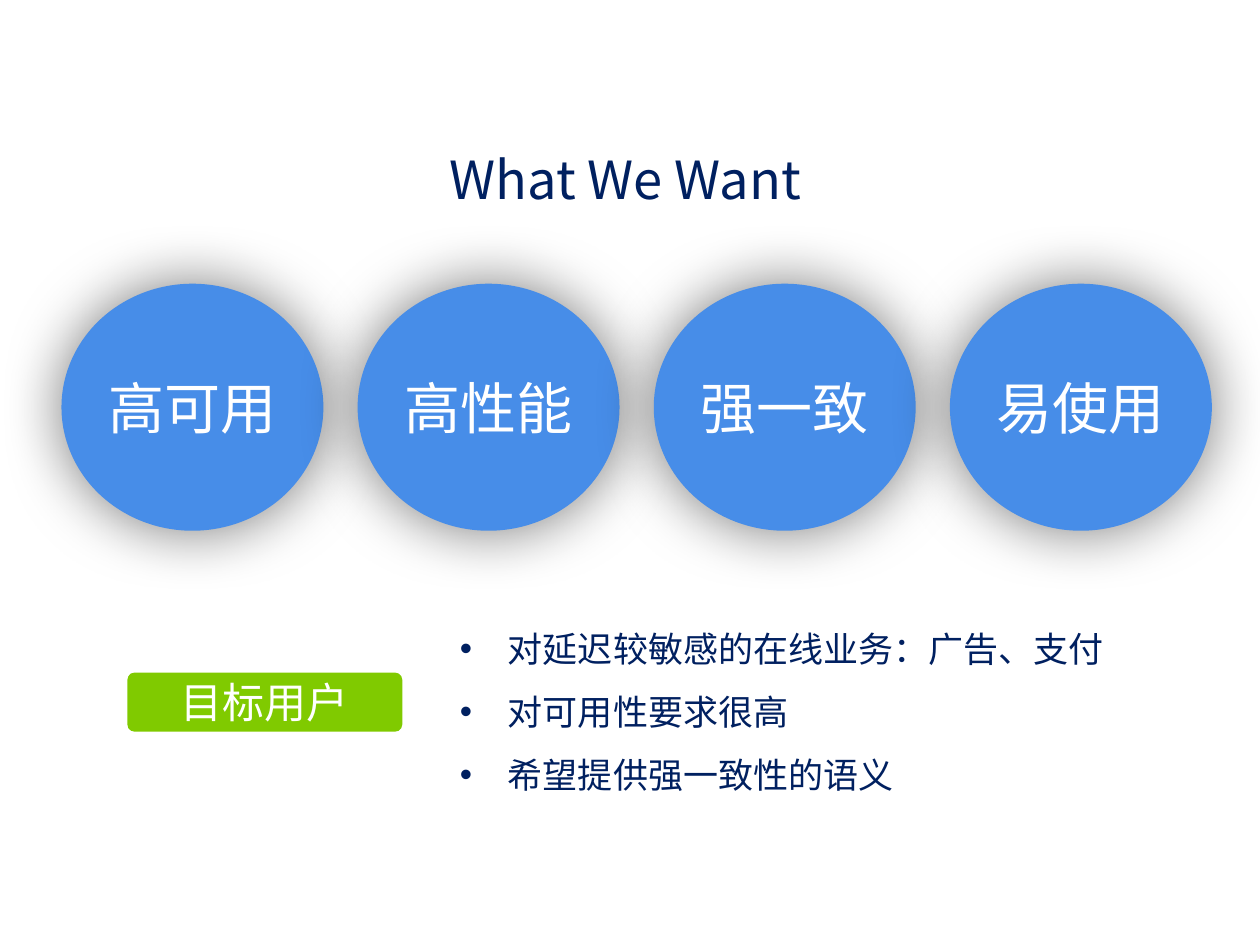
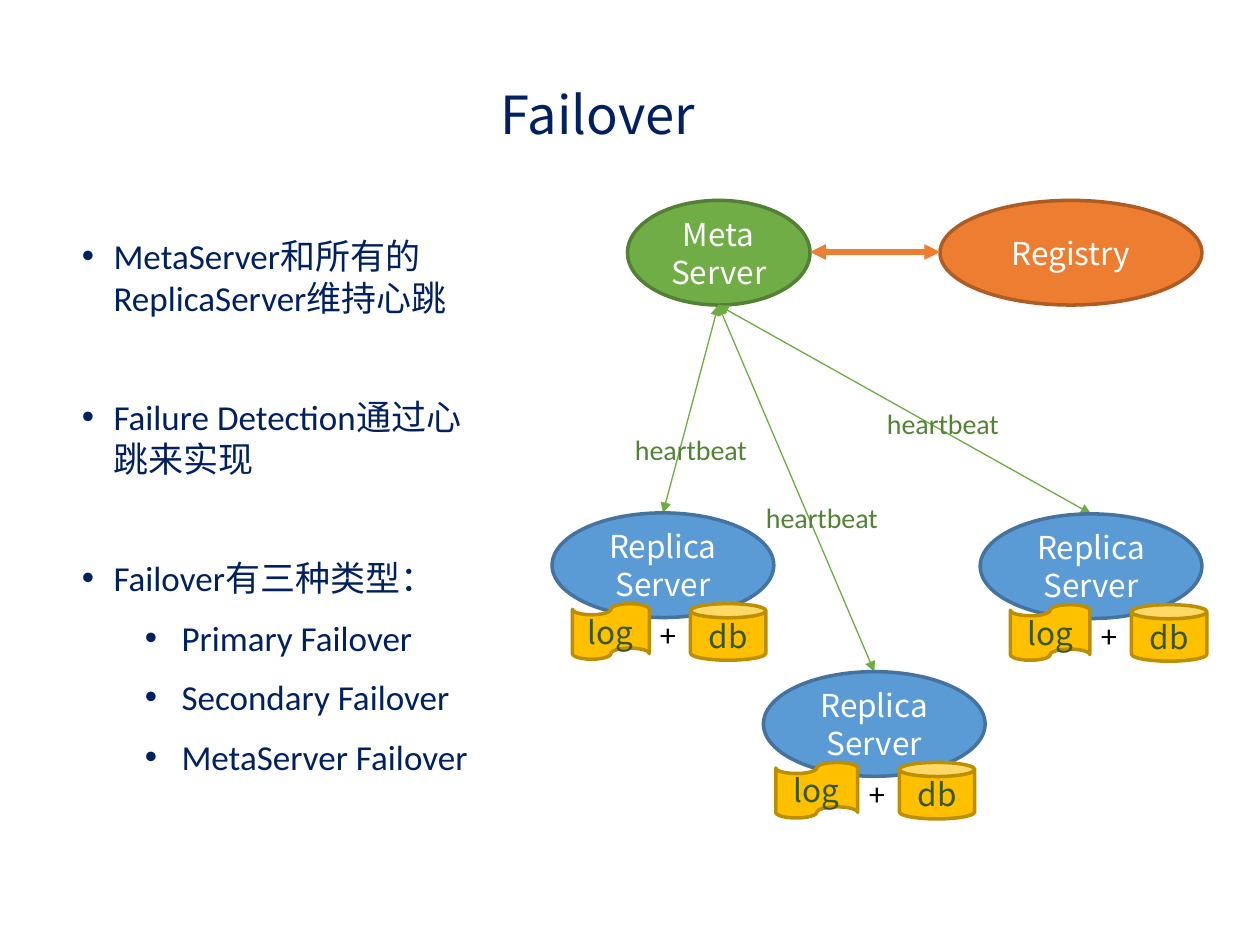
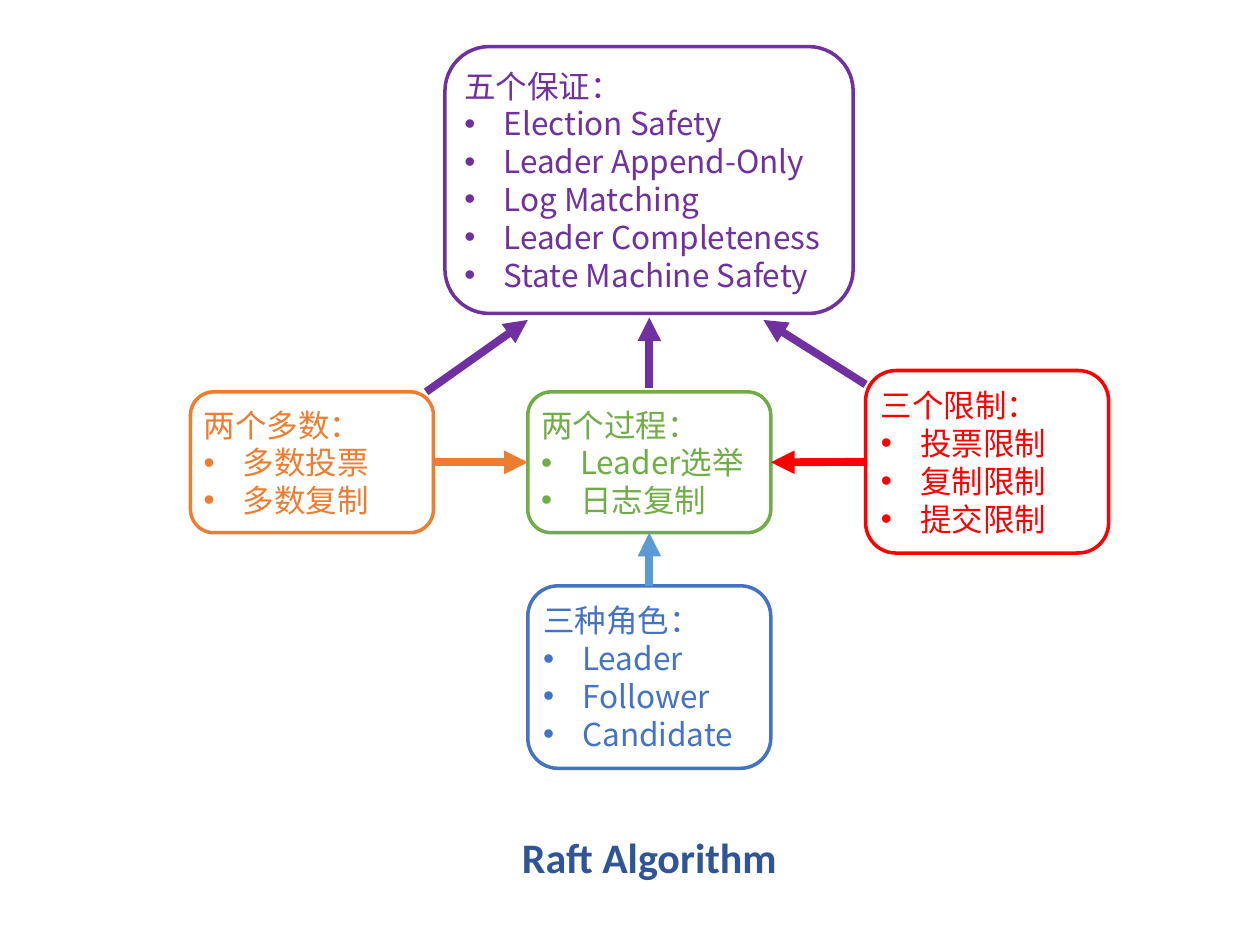
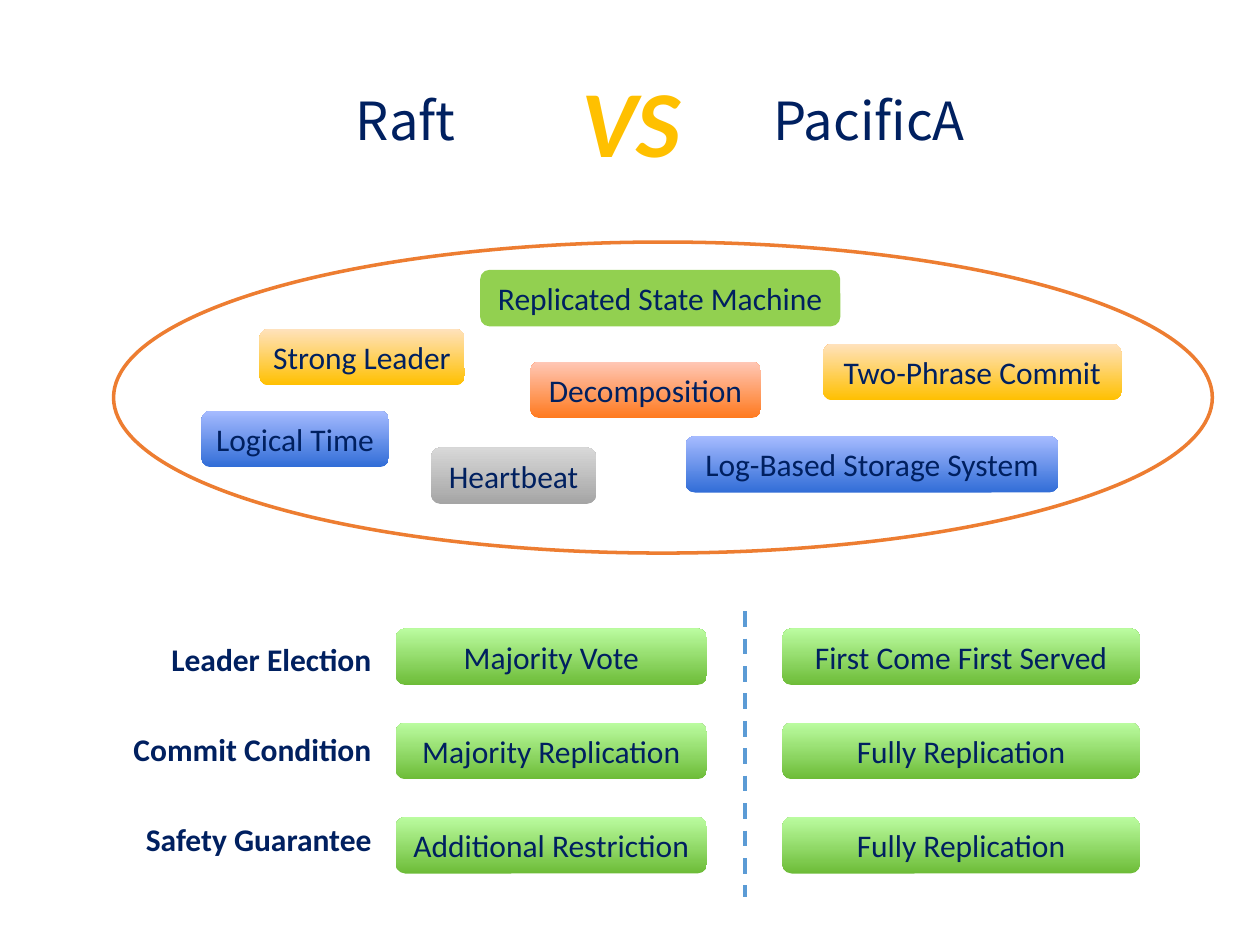
from pptx import Presentation
from pptx.dml.color import RGBColor
from pptx.enum.dml import MSO_LINE
from pptx.enum.shapes import MSO_CONNECTOR, MSO_SHAPE
from pptx.enum.text import MSO_ANCHOR, PP_ALIGN
from pptx.oxml.ns import qn
from pptx.util import Cm, Pt
from lxml.etree import SubElement

NAVY = RGBColor(0x00, 0x20, 0x60)
WHITE = RGBColor(0xFF, 0xFF, 0xFF)
BLACK = RGBColor(0x00, 0x00, 0x00)
AZURE = RGBColor(0x47, 0x8D, 0xE8)
LIME = RGBColor(0x80, 0xCA, 0x00)
LEAF = RGBColor(0x92, 0xD0, 0x50)
GREEN = RGBColor(0x70, 0xAD, 0x47)
BEAT = RGBColor(0x6D, 0xAC, 0x43)
MOSS = RGBColor(0x54, 0x82, 0x35)
PINE = RGBColor(0x38, 0x57, 0x23)
FERN = RGBColor(0x53, 0x80, 0x35)
ORANGE = RGBColor(0xED, 0x7D, 0x31)
RUST = RGBColor(0xAF, 0x5C, 0x24)
BLUE = RGBColor(0x5B, 0x9B, 0xD5)
STEEL = RGBColor(0x43, 0x73, 0x9E)
ROYAL = RGBColor(0x44, 0x72, 0xC4)
DEEP = RGBColor(0x2F, 0x55, 0x97)
GOLD = RGBColor(0xFF, 0xC0, 0x00)
BRONZE = RGBColor(0xBD, 0x8E, 0x00)
RED = RGBColor(0xFF, 0x00, 0x00)
PURPLE = RGBColor(0x70, 0x30, 0xA0)

# Gradients run from the bottom colour to the top colour
AMBER = (GOLD, RGBColor(0xFF, 0xE2, 0xBD))
SKY = (RGBColor(0x31, 0x6D, 0xD7), RGBColor(0xA6, 0xBB, 0xFF))
GREY = (RGBColor(0xA5, 0xA5, 0xA5), RGBColor(0xD8, 0xD8, 0xD8))
CORAL = (RGBColor(0xFF, 0x7A, 0x1F), RGBColor(0xFF, 0xC7, 0xB6))
GRASS = (RGBColor(0x6D, 0xBC, 0x38), RGBColor(0xBB, 0xFC, 0xA0))

SANS, BODY, ROUND = "Noto Sans CJK SC", "Calibri", "Roboto"
LEFT, MID, RIGHT = PP_ALIGN.LEFT, PP_ALIGN.CENTER, PP_ALIGN.RIGHT
OVAL, BOX = MSO_SHAPE.OVAL, MSO_SHAPE.ROUNDED_RECTANGLE
CAN, TAPE = MSO_SHAPE.CAN, MSO_SHAPE.FLOWCHART_PUNCHED_TAPE
TOP, WEST, BOTTOM, EAST = range(4)
THIN = 0.13


def bullet(para, indent, hang):
    props = para._p.get_or_add_pPr()
    props.set("marL", str(Cm(indent)))
    props.set("indent", str(-Cm(hang)))
    SubElement(props, qn("a:buFont")).set("typeface", "Arial")
    SubElement(props, qn("a:buChar")).set("char", "•")


def write(frame, text, font=BODY, size=18, color=NAVY, bold=False,
          italic=False, align=LEFT, pad=None, wrap=True, space=None):
    """Fill a frame, one paragraph per line of text; pad is an even inset in cm."""
    frame.word_wrap = wrap
    if pad is not None:
        frame.margin_left = frame.margin_right = Cm(pad)
        frame.margin_top = frame.margin_bottom = Cm(pad)
    for i, line in enumerate(text.split("\n")):
        para = frame.add_paragraph() if i else frame.paragraphs[0]
        para.alignment = align
        if space:
            para.line_spacing = space
        run = para.add_run()
        run.text = line
        style = run.font
        style.name, style.size = font, Pt(size)
        style.bold, style.italic = bold, italic
        style.color.rgb = color
        SubElement(run._r.get_or_add_rPr(), qn("a:ea")).set("typeface", font)
    return frame.paragraphs


class Deck:
    def __init__(self):
        self.show = Presentation()
        self.show.slide_width, self.show.slide_height = Cm(25.4), Cm(19.05)

    def page(self):
        self.items = self.show.slides.add_slide(self.show.slide_layouts[6]).shapes

    def text(self, area, text, **form):
        box = self.items.add_textbox(*map(Cm, area))
        return write(box.text_frame, text, **form)

    def title(self, area, text):
        self.text(area, text, font=SANS, size=30, align=MID, pad=THIN)

    def shape(self, kind, area, text="", fill=None, line=None, **form):
        """Draw a preset shape; fill is a colour, a (bottom, top) pair or None."""
        item = self.items.add_shape(kind, *map(Cm, area))
        item.shadow.inherit = False
        if fill is None:
            item.fill.background()
        elif isinstance(fill, RGBColor):
            item.fill.solid()
            item.fill.fore_color.rgb = fill
        else:
            item.fill.gradient()
            item.fill.gradient_angle = 90
            for stop, color in zip(item.fill.gradient_stops, fill):
                stop.color.rgb = color
        if line is None:
            item.line.fill.background()
        else:
            item.line.color.rgb = line
            item.line.width = Pt(2)
        if text:
            item.text_frame.vertical_anchor = MSO_ANCHOR.MIDDLE
            write(item.text_frame, text, **{"align": MID, **form})
        return item

    def glow(self, item):
        """Put a soft, centred shadow around a shape."""
        effects = item.element.spPr.find(qn("a:effectLst"))
        shade = SubElement(effects, qn("a:outerShdw"), blurRad=str(Pt(36)),
                           dist="0", dir="0", algn="ctr", rotWithShape="0")
        color = SubElement(shade, qn("a:srgbClr"), val=str(BLACK))
        SubElement(color, qn("a:alpha"), val="52000")

    def tag(self, area, text, fill):
        self.shape(BOX, area, text, fill=fill, pad=THIN)

    def card(self, area, text, color):
        """Draw an outlined box whose lines after the first are bulleted."""
        item = self.shape(BOX, area, text, fill=WHITE, line=color, font=SANS,
                          color=color, align=LEFT, pad=THIN)
        for para in item.text_frame.paragraphs[1:]:
            bullet(para, 0.79, 0.79)
        return item

    def line(self, start, end, color, width, ends=(), dash=None):
        """Join two points, or two (shape, side) pairs, with a straight line."""
        joined = not isinstance(start[0], (int, float))
        spots = (0, 0, 0, 0) if joined else (*start, *end)
        link = self.items.add_connector(MSO_CONNECTOR.STRAIGHT, *map(Cm, spots))
        if joined:
            link.begin_connect(*start)
            link.end_connect(*end)
        link.line.color.rgb = color
        link.line.width = Pt(width)
        if dash:
            link.line.dash_style = dash
        props = link.element.spPr
        for tip in ends:
            SubElement(props.find(qn("a:ln")), qn(f"a:{tip}")).set("type", "triangle")
        SubElement(props, qn("a:effectLst"))


def goals(deck):
    deck.page()
    for i, goal in enumerate(("高可用", "高性能", "强一致", "易使用")):
        deck.glow(deck.shape(OVAL, (1.24 + 5.97 * i, 5.72, 5.28, 4.98), goal, fill=AZURE,
                             font=ROUND, size=32, color=WHITE, pad=0))
    label = deck.shape(BOX, (2.57, 13.56, 5.54, 1.19), "目标用户", fill=LIME,
                       font=ROUND, size=24, color=WHITE, pad=0.18)
    label.adjustments[0] = 0.12
    deck.title((1.88, 2.84, 21.46, 1.55), "What We Want")
    needs = "对延迟较敏感的在线业务：广告、支付\n对可用性要求很高\n希望提供强一致性的语义"
    for para in deck.text((9.14, 12.09, 13.59, 4.11), needs, size=20, pad=THIN, space=1.5):
        bullet(para, 0.97, 0.97)


def failover(deck):
    deck.page()
    deck.title((2.29, 1.52, 19.53, 1.55), "Failover")
    white = dict(font=SANS, color=WHITE)
    store = dict(fill=GOLD, line=BRONZE, font=SANS, color=PINE)
    both = ("headEnd", "tailEnd")
    high, wide = 2.11, 4.47
    deck.shape(OVAL, (12.65, 4.04, 3.68, high), "Meta\nServer", fill=GREEN, line=FERN, **white)
    deck.shape(OVAL, (18.95, 4.04, 5.28, high), "Registry", fill=ORANGE, line=RUST, **white)
    deck.line((18.95, 5.08), (16.33, 5.08), ORANGE, 3, both)

    # left, top, then log offset, log width and db offset
    nodes = ((11.13, 10.34, 0.41, 1.55, 2.79),
             (15.39, 13.54, 0.25, 1.65, 2.74),
             (19.76, 10.36, 0.61, 1.6, 3.05))
    for x, y, *_ in nodes:
        deck.line((14.48, 6.15), (x + wide / 2, y), BEAT, 0.75, both)
    for x, y, log, size, db in nodes:
        low = y + 1.83
        deck.shape(OVAL, (x, y, wide, high), "Replica\nServer", fill=BLUE, line=STEEL, **white)
        deck.shape(CAN, (x + db, low, 1.52, 1.14), "db", **store)
        deck.shape(TAPE, (x + log, low, size, 1.12), "log", **store)
        deck.text((x + db - 0.86, low + 0.1, 0.84, 1.02), "+", color=BLACK)
    for x, y in ((12.55, 8.59), (15.19, 9.96), (17.63, 8.08)):
        deck.text((x, y, 3.35, 0.94), "heartbeat", size=16, color=MOSS)

    points = ("MetaServer和所有的ReplicaServer维持心跳\nFailure Detection通过心跳来实现\n"
              "Failover有三种类型：\nPrimary Failover\nSecondary Failover\nMetaServer Failover")
    paras = deck.text((1.52, 4.6, 8.31, 11.91), points, size=20, pad=THIN)
    for i, para in enumerate(paras):
        para.level = int(i > 2)
        para.space_before = Pt(44 if i in (1, 2) else 10)
        bullet(para, *((2.01, 0.74) if i > 2 else (0.64, 0.64)))


def raft(deck):
    deck.page()
    roles = deck.card((10.64, 11.81, 4.9, 3.68),
                      "三种角色：\nLeader\nFollower\nCandidate", ROYAL)
    steps = deck.card((10.64, 7.9, 4.9, 2.84), "两个过程：\nLeader选举\n日志复制", GREEN)
    most = deck.card((3.84, 7.9, 4.9, 2.84), "两个多数：\n多数投票\n多数复制", ORANGE)
    limits = deck.card((17.45, 7.47, 4.9, 3.68),
                       "三个限制：\n投票限制\n复制限制\n提交限制", RED)
    deck.card((8.97, 0.94, 8.23, 5.38),
              "五个保证：\nElection Safety\nLeader Append-Only\nLog Matching\n"
              "Leader Completeness\nState Machine Safety", PURPLE)
    for start, end, color in (
            ((most, EAST), (steps, WEST), ORANGE),
            ((limits, WEST), (steps, EAST), RED),
            ((roles, TOP), (steps, BOTTOM), BLUE),
            ((13.09, 7.82), (13.09, 6.4), PURPLE),
            ((8.59, 7.9), (10.64, 6.45), PURPLE),
            ((17.45, 7.75), (15.39, 6.45), PURPLE)):
        deck.line(start, end, color, 4.5, ("tailEnd",))
    deck.text((5.89, 16.64, 14.4, 1.27), "Raft Algorithm", size=24, color=DEEP,
              bold=True, align=MID, pad=THIN)


def versus(deck):
    deck.page()
    deck.title((5.18, 1.65, 6, 1.55), "Raft")
    deck.title((14.52, 1.65, 6, 1.55), "PacificA")
    deck.text((11.43, 1.14, 2.57, 2.57), "VS", size=54, color=GOLD, bold=True,
              italic=True, align=MID, wrap=False)
    deck.shape(OVAL, (2.29, 4.88, 22.15, 6.27), line=ORANGE)
    high = 1.14
    for x, y, wide, text, fill in (
            (5.23, 6.63, 4.14, "Strong Leader", AMBER),
            (9.68, 5.44, 7.26, "Replicated State Machine", LEAF),
            (4.06, 8.28, 3.78, "Logical Time", SKY),
            (16.59, 6.93, 6.02, "Two-Phrase Commit", AMBER),
            (8.69, 9.02, 3.33, "Heartbeat", GREY),
            (10.69, 7.29, 4.65, "Decomposition", CORAL),
            (13.82, 8.79, 7.52, "Log-Based Storage System", SKY)):
        deck.tag((x, y, wide, high), text, fill)

    deck.line((15.01, 12.32), (15.01, 18.08), BLUE, 2.25, dash=MSO_LINE.DASH)
    rows = (("Leader Election", "Majority Vote", "First Come First Served"),
            ("Commit Condition", "Majority Replication", "Fully Replication"),
            ("Safety Guarantee", "Additional Restriction", "Fully Replication"))
    for i, (topic, ours, theirs) in enumerate(rows):
        deck.text((2.39, 12.78 + 1.81 * i, 5.23, 1.02), topic, bold=True,
                  align=RIGHT, pad=THIN)
        y = 12.67 + 1.9 * i
        deck.tag((7.98, y, 6.27, high), ours, GRASS)
        deck.tag((15.77, y, 7.21, high), theirs, GRASS)


def main():
    deck = Deck()
    for build in (goals, failover, raft, versus):
        build(deck)
    deck.show.save("out.pptx")


if __name__ == "__main__":
    main()
